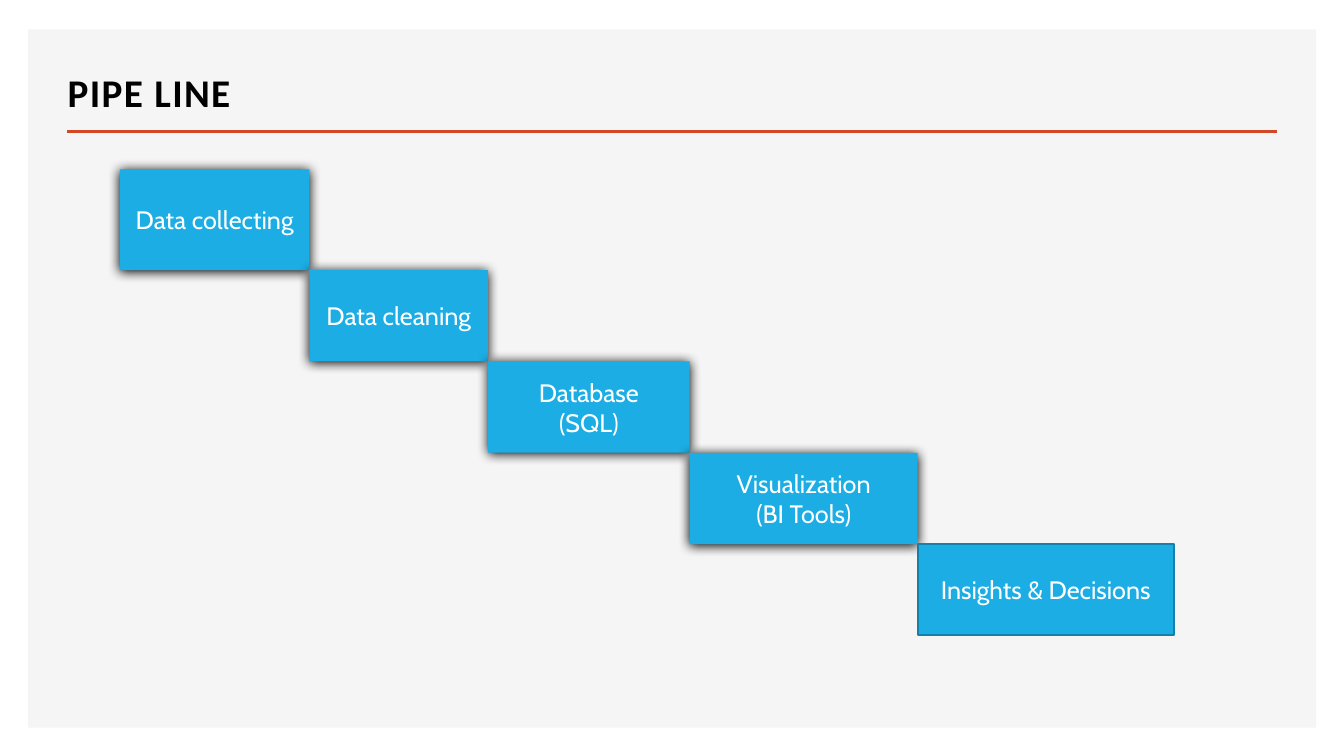
from lxml.etree import SubElement
from pptx import Presentation
from pptx.dml.color import RGBColor
from pptx.enum.shapes import MSO_CONNECTOR, MSO_SHAPE
from pptx.enum.text import MSO_ANCHOR, MSO_AUTO_SIZE, PP_ALIGN
from pptx.oxml.ns import qn
from pptx.util import Cm, Pt

BLACK = RGBColor(0x00, 0x00, 0x00)
WHITE = RGBColor(0xFF, 0xFF, 0xFF)
GREY = RGBColor(0xF5, 0xF5, 0xF5)
ORANGE = RGBColor(0xD2, 0x47, 0x26)
BLUE = RGBColor(0x1C, 0xAD, 0xE4)
EDGE = RGBColor(0x15, 0x80, 0xA9)


def add_box(left, top, width, height, color):
    box = slide.shapes.add_shape(
        MSO_SHAPE.RECTANGLE, Cm(left), Cm(top), Cm(width), Cm(height))
    box.shadow.inherit = False
    box.fill.solid()
    box.fill.fore_color.rgb = color
    box.line.fill.background()
    return box


def add_glow(box):
    effects = box.element.spPr.find(qn("a:effectLst"))
    shadow = SubElement(effects, qn("a:outerShdw"), blurRad=str(Pt(8.5)),
                        dist=str(Pt(1)), dir="5400000", algn="ctr", rotWithShape="0")
    SubElement(shadow, qn("a:srgbClr"), val=str(BLACK))


prs = Presentation()
prs.slide_width, prs.slide_height = Cm(33.87), Cm(19.05)
slide = prs.slides.add_slide(prs.slide_layouts[5])

# Title
title = slide.shapes.title
title.left, title.top, title.width, title.height = Cm(1.45), Cm(1.24), Cm(19.1), Cm(1.78)
title.text = "PIPE LINE"
frame = title.text_frame
frame.auto_size = MSO_AUTO_SIZE.NONE
frame.vertical_anchor = MSO_ANCHOR.BOTTOM
head = frame.paragraphs[0]
head.alignment = PP_ALIGN.LEFT
head.line_spacing = 0.8
head.font.name = "Calibri"
head.font.size = Pt(28)
head.font.bold = True
head.font.color.rgb = BLACK
head.runs[0].font.color.rgb = BLACK
head.runs[0].font.fill._xPr.set("spc", "100")

# Grey panel behind the title, with the rule below it
panel = add_box(0.71, 0.74, 32.46, 17.6, GREY)
title.element.addprevious(panel.element)
rule = slide.shapes.add_connector(
    MSO_CONNECTOR.STRAIGHT, Cm(1.69), Cm(3.32), Cm(32.18), Cm(3.32))
rule.line.color.rgb = ORANGE
rule.line.width = Pt(2)
SubElement(rule.element.spPr, qn("a:effectLst"))

# Staircase: each step starts at the lower right corner of the one before
steps = [
    (["Data collecting"], 4.78, 2.54),
    (["Data cleaning"], 4.5, 2.3),
    (["Database", "(SQL)"], 5.08, 2.3),
    (["Visualization", "(BI Tools)"], 5.75, 2.3),
    (["Insights & Decisions"], 6.45, 2.3),
]
left, top = 3.02, 4.27
for lines, width, height in steps:
    step = add_box(left, top, width, height, BLUE)
    if lines == steps[-1][0]:
        step.line.color.rgb = EDGE
        step.line.width = Pt(1.25)
    else:
        add_glow(step)
    frame = step.text_frame
    frame.word_wrap = True
    frame.vertical_anchor = MSO_ANCHOR.MIDDLE
    frame.text = "\n".join(lines)
    for para in frame.paragraphs:
        para.alignment = PP_ALIGN.CENTER
        para.font.name = "Cabin"
        para.font.size = Pt(18)
        para.font.color.rgb = WHITE
    left += width
    top += height

prs.save("out.pptx")
